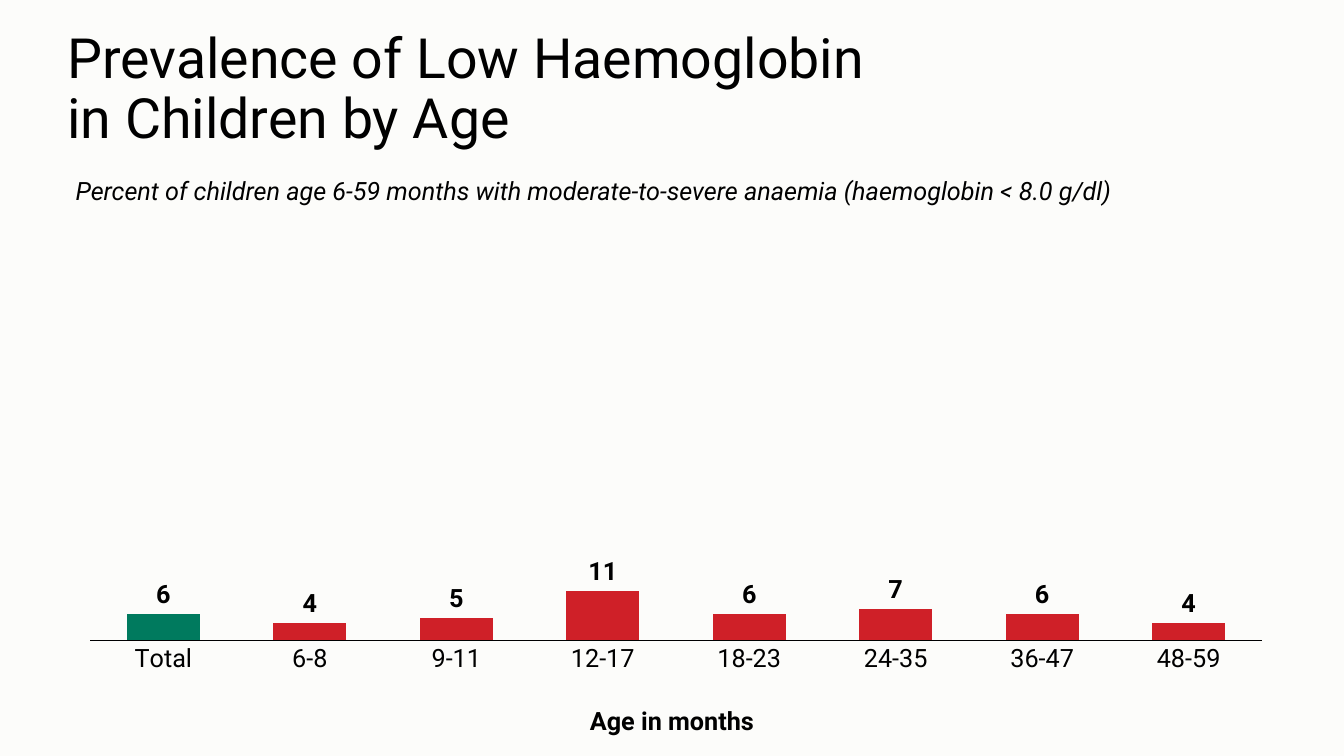
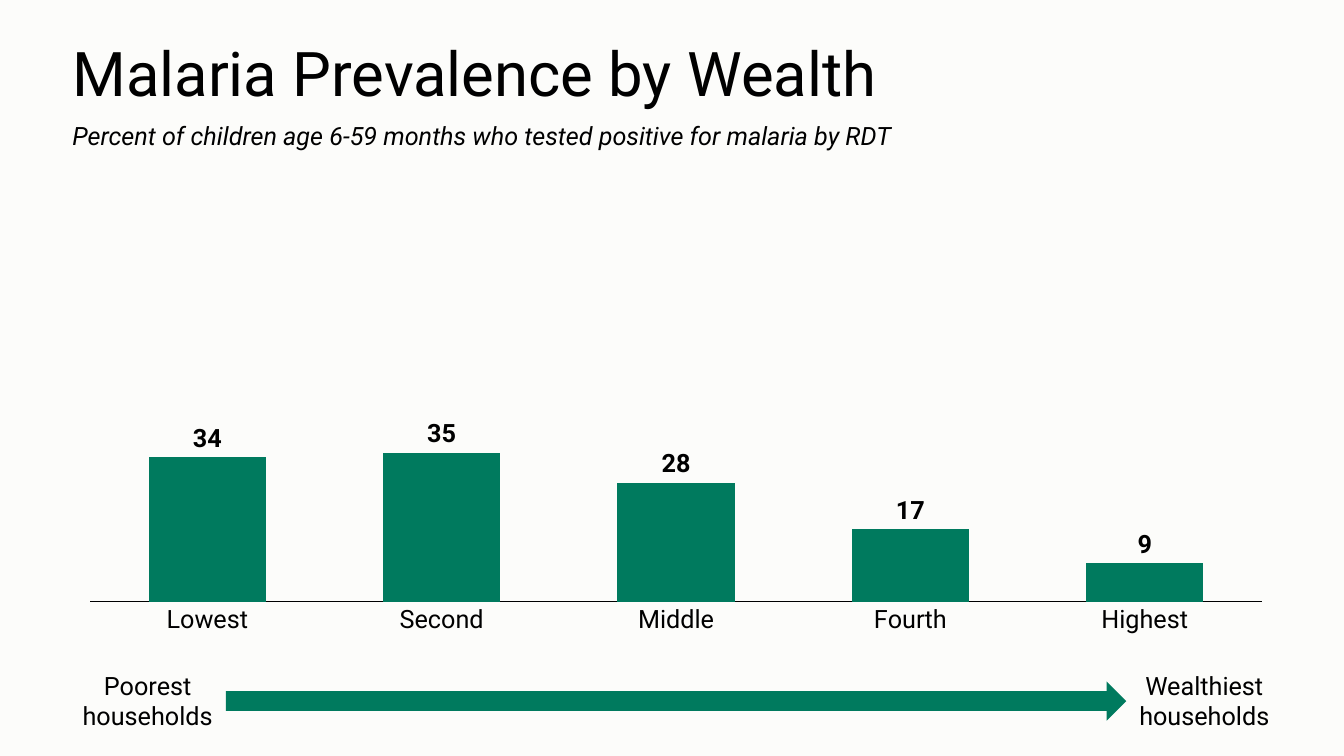
from lxml.etree import SubElement as Sub
from pptx import Presentation
from pptx.chart.data import CategoryChartData as Data
from pptx.dml.color import RGBColor as Rgb
from pptx.enum.chart import XL_CHART_TYPE as Kind, XL_LABEL_POSITION as Spot, XL_TICK_MARK as Tick
from pptx.enum.shapes import MSO_SHAPE as Shape
from pptx.enum.text import MSO_ANCHOR as Anchor, PP_ALIGN as Align
from pptx.oxml.ns import qn
from pptx.util import Inches, Pt

HUES = {"paper": "FCFCFA", "ink": "000000", "green": "007A5E", "red": "CF2028"}
FONT = "Roboto"
BODY = 18
WIDE = 90.25
EDGE = 5.18
ROW = 5.33


def hue(name):
    return Rgb.from_string(HUES[name])


def paint(fill, name):
    fill.solid()
    fill.fore_color.rgb = hue(name)


def style(font, size=BODY, bold=False, slant=False):
    font.name = FONT
    font.size = Pt(size)
    font.bold = bold
    font.italic = slant
    font.color.rgb = hue("ink")


class Deck:
    def __init__(self):
        self.show = Presentation()
        self.show.slide_width = Inches(13.33)
        self.show.slide_height = Inches(7.5)
        self.slide = None

    def page(self):
        self.slide = self.show.slides.add_slide(self.show.slide_layouts[6])
        paint(self.slide.background.fill, "paper")

    def area(self, left, top, width, height):
        across, down = self.show.slide_width, self.show.slide_height
        return [int(part * side / 100) for part, side in
                ((left, across), (top, down), (width, across), (height, down))]

    def text(self, words, box, align=Align.LEFT, anchor=Anchor.TOP, lead=1.0, **look):
        frame = self.slide.shapes.add_textbox(*self.area(*box)).text_frame
        frame.word_wrap = True
        frame.vertical_anchor = anchor
        para = frame.paragraphs[0]
        para.text = words
        para.alignment = align
        para.line_spacing = lead
        style(para.font, **look)

    def title(self, words, left, top, height, size):
        self.text(words, (left, top, 86.27, height), anchor=Anchor.MIDDLE, lead=0.9, size=size)

    def caption(self, words, left, top):
        self.text(words, (left, top, WIDE, ROW), slant=True)

    def label(self, words, box, bold=False):
        self.text(words, box, align=Align.CENTER, bold=bold)

    def arrow(self, box, tint):
        shape = self.slide.shapes.add_shape(Shape.RIGHT_ARROW, *self.area(*box))
        shape.shadow.inherit = False
        paint(shape.fill, tint)
        shape.line.fill.background()

    def bars(self, values, top, height, share, tint, accents=None):
        data = Data()
        data.categories = list(values)
        data.add_series("Series 1", list(values.values()))
        box = self.area(EDGE, top, WIDE, height)
        chart = self.slide.shapes.add_chart(Kind.COLUMN_CLUSTERED, *box, data).chart
        chart.has_legend = False
        chart.has_title = False
        style(chart.font, 10)
        self.axes(chart)
        plot = chart.plots[0]
        plot.vary_by_categories = False
        plot.gap_width = 100
        series = plot.series[0]
        paint(series.format.fill, tint)
        for spot, name in (accents or {}).items():
            paint(series.points[spot].format.fill, name)
        labels = series.data_labels
        labels.show_value = True
        labels.position = Spot.OUTSIDE_END
        style(labels.font, bold=True)
        self.inner(chart, share)

    def axes(self, chart):
        scale = chart.value_axis
        scale.visible = False
        scale.has_major_gridlines = False
        scale.minimum_scale = 0
        scale.maximum_scale = 100
        base = chart.category_axis
        base.major_tick_mark = Tick.NONE
        style(base.tick_labels.font)
        base.format.line.color.rgb = hue("ink")
        base.format.line.width = Pt(0.75)

    def inner(self, chart, share):
        area = chart.element.find(".//" + qn("c:plotArea"))
        for old in area.findall(qn("c:layout")):
            area.remove(old)
        layout = Sub(area, qn("c:layout"))
        area.insert(0, layout)
        manual = Sub(layout, qn("c:manualLayout"))
        for tag, value in (("layoutTarget", "inner"), ("xMode", "edge"), ("yMode", "edge"),
                           ("x", 0.017), ("y", 0), ("w", 0.966), ("h", share)):
            Sub(manual, qn("c:" + tag)).set("val", str(value))


def anaemia(deck):
    deck.page()
    deck.title("Prevalence of Low Haemoglobin\vin Children by Age", 4.28, 4.93, 14.13, 39.6)
    ages = {"Total": 6, "6-8": 4, "9-11": 5, "12-17": 11,
            "18-23": 6, "24-35": 7, "36-47": 6, "48-59": 4}
    deck.bars(ages, 25.47, 69.47, 0.853, "red", {0: "green"})
    deck.caption("Percent of children age 6-59 months with moderate-to-severe anaemia "
                 "(haemoglobin < 8.0 g/dl)", 4.88, 22.53)
    deck.label("Age in months", (36.83, 92.67, 26.33, ROW), bold=True)


def malaria(deck):
    deck.page()
    deck.title("Malaria Prevalence by Wealth", 4.65, 3.6, 13.07, 44)
    wealth = {"Lowest": 34, "Second": 35, "Middle": 28, "Fourth": 17, "Highest": 9}
    deck.bars(wealth, 23.47, 63.47, 0.884, "green")
    deck.caption("Percent of children age 6-59 months who tested positive for malaria by RDT",
                 4.65, 15.2)
    side, span = 11.62, 67
    start = EDGE + side
    deck.arrow((start, 90.13, span, 5.2), "green")
    for words, left in (("Poorest households", EDGE), ("Wealthiest households", start + span)):
        deck.label(words, (left, 88, side, 9.47))


def main():
    deck = Deck()
    anaemia(deck)
    malaria(deck)
    deck.show.save("out.pptx")


if __name__ == "__main__":
    main()
